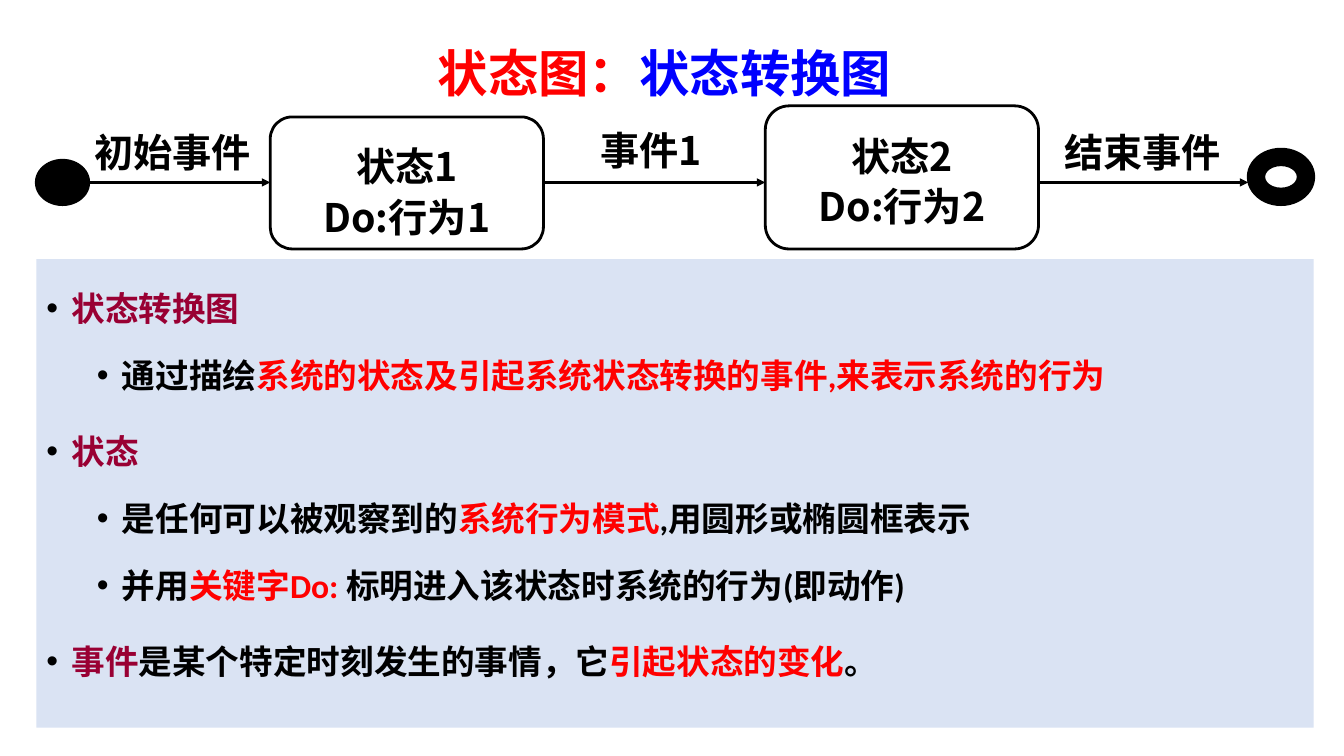
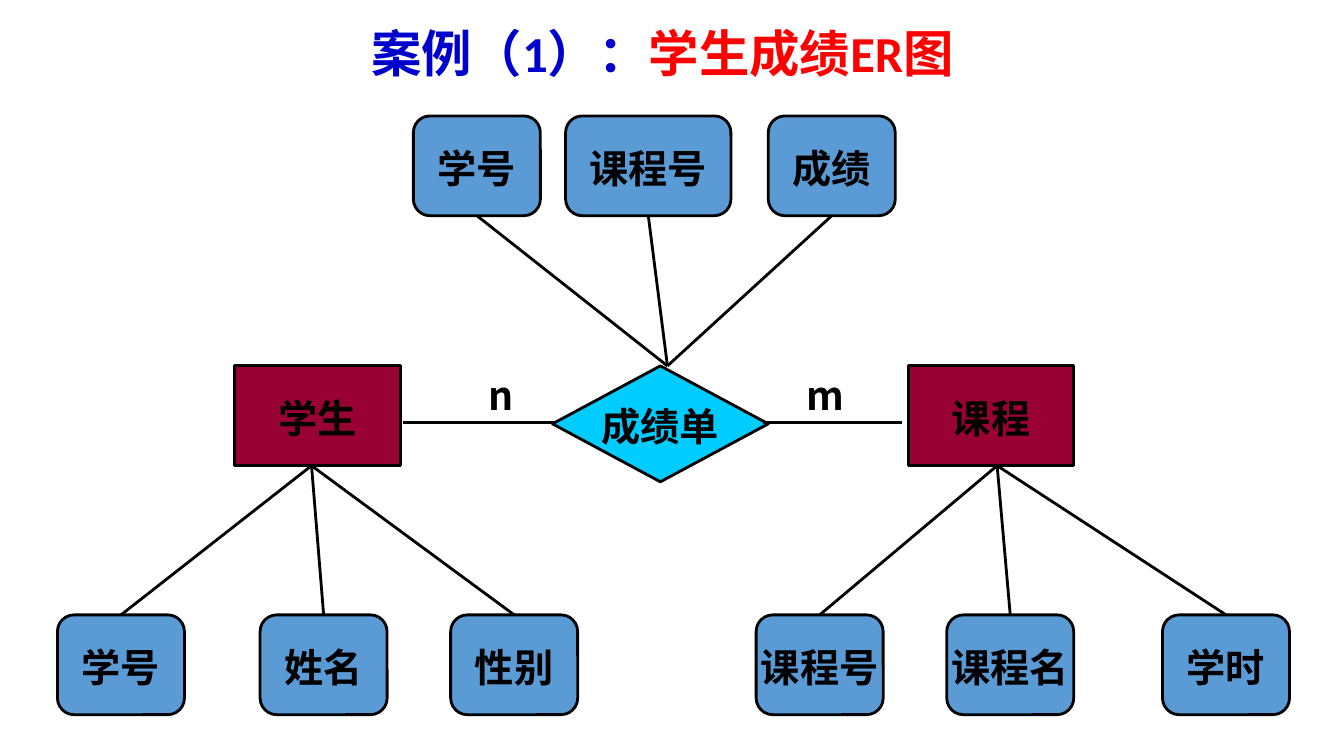
from lxml.etree import SubElement
from pptx import Presentation
from pptx.dml.color import RGBColor
from pptx.enum.shapes import MSO_CONNECTOR, MSO_SHAPE
from pptx.enum.text import MSO_ANCHOR, MSO_AUTO_SIZE, PP_ALIGN
from pptx.oxml.ns import qn
from pptx.util import Inches, Pt

# Shared look
BLACK = RGBColor(0x00, 0x00, 0x00)
WHITE = RGBColor(0xFF, 0xFF, 0xFF)
RED = RGBColor(0xFF, 0x00, 0x00)
BLUE = RGBColor(0x00, 0x00, 0xFF)
NAVY = RGBColor(0x00, 0x00, 0xCC)
MAROON = RGBColor(0x99, 0x00, 0x33)
CYAN = RGBColor(0x00, 0xCC, 0xFF)
STEEL = RGBColor(0x5B, 0x9B, 0xD5)
PANEL = RGBColor(0xDA, 0xE3, 0xF3)
HAN, LATIN = "Noto Sans CJK SC", "Calibri"
LINE = Pt(2)
TITLE_ONLY, TITLE_AND_BODY = 5, 1

# Slide 1: state diagram, places in inches
STATE_TITLE = [("状态图：", RED), ("状态转换图", BLUE)]
STATE_TITLE_BOX = (2.34, 0.28, 8.5, 0.95)
STATES = [
    (["状态1", "Do:行为1"], (2.68, 1.16, 2.71, 1.31)),
    (["状态2", "Do:行为2"], (7.59, 1.05, 2.71, 1.42)),
]
START_BOX = (0.36, 1.59, 0.52, 0.44)
END_BOX = (12.38, 1.48, 0.65, 0.55)
FLOW_Y = 1.81
EVENTS = [
    ("初始事件", (0.74, 1.19, 1.94, 0.57)),
    ("事件1", (5.68, 1.17, 1.55, 0.57)),
    ("结束事件", (10.36, 1.19, 1.94, 0.57)),
]
NOTES_BOX = (0.36, 2.57, 12.67, 4.65)
NOTES = [  # level, coloured runs
    (0, [("状态转换图", MAROON)]),
    (1, [("通过描绘", BLACK),
         ("系统的状态及引起系统状态转换的事件,来表示系统的行为", RED)]),
    (0, [("状态", MAROON)]),
    (1, [("是任何可以被观察到的", BLACK), ("系统行为模式", RED),
         (",用圆形或椭圆框表示", BLACK)]),
    (1, [("并用", BLACK), ("关键字Do: ", RED),
         ("标明进入该状态时系统的行为(即动作)", BLACK)]),
    (0, [("事件", MAROON), ("是某个特定时刻发生的事情，它", BLACK),
         ("引起状态的变化", RED), ("。", BLACK)]),
]

# Slide 2: entity-relationship diagram
ER_TITLE = [("案例（1）：", NAVY), ("学生成绩ER图", RED)]
ER_TITLE_BOX = (2.1, 0.09, 8.94, 0.85)
ENTITIES = [("学生", 2.33), ("课程", 9.01)]  # text, left
ENTITY_TOP, ENTITY_WIDTH = 3.63, 1.64
RELATION, RELATION_BOX = "成绩单", (5.48, 3.63, 2.14, 1.15)
NODE_HEIGHT, ATTRIBUTE_WIDTH = 0.99, 1.26
ATTRIBUTE_GROUPS = [  # hub point, top of row, attributes (text, left, width)
    ((6.62, 3.63), 1.15, [("学号", 4.1, ATTRIBUTE_WIDTH),
                          ("课程号", 5.61, 1.64),
                          ("成绩", 7.62, ATTRIBUTE_WIDTH)]),
    ((3.09, 4.62), 6.1, [("学号", 0.57, ATTRIBUTE_WIDTH),
                         ("姓名", 2.58, ATTRIBUTE_WIDTH),
                         ("性别", 4.47, ATTRIBUTE_WIDTH)]),
    ((9.89, 4.62), 6.1, [("课程号", 7.5, ATTRIBUTE_WIDTH),
                         ("课程名", 9.39, ATTRIBUTE_WIDTH),
                         ("学时", 11.53, ATTRIBUTE_WIDTH)]),
]
LINK_Y = 4.19
LINKS = [("n", 4.59, 4.0, 5.51), ("m", 7.81, 7.57, 8.95)]  # label, left, ends


def place(shape, box):
    shape.left, shape.top, shape.width, shape.height = map(Inches, box)


def style(paragraph, size, latin=HAN, color=BLACK):
    font = paragraph.font
    font.size, font.bold, font.name = Pt(size), True, latin
    font.color.rgb = color
    defaults = paragraph._p.pPr.find(qn("a:defRPr"))
    SubElement(defaults, qn("a:ea"), typeface=HAN)


def add_runs(paragraph, runs):
    for text, color in runs:
        run = paragraph.add_run()
        run.text = text
        run.font.color.rgb = color


def set_title(slide, runs, box, spacing, latin):
    title = slide.shapes.title
    place(title, box)
    frame = title.text_frame
    frame.auto_size = MSO_AUTO_SIZE.NONE
    frame.vertical_anchor = MSO_ANCHOR.MIDDLE
    paragraph = frame.paragraphs[0]
    paragraph.alignment = PP_ALIGN.CENTER
    paragraph.line_spacing = spacing
    style(paragraph, 36, latin)
    add_runs(paragraph, runs)


def write_label(frame, lines):
    for i, line in enumerate(lines):
        paragraph = frame.add_paragraph() if i else frame.paragraphs[0]
        paragraph.text = line
        paragraph.alignment = PP_ALIGN.CENTER
        paragraph.line_spacing = Pt(36)
        style(paragraph, 28)


def add_label(slide, text, box):
    frame = slide.shapes.add_textbox(*map(Inches, box)).text_frame
    frame.word_wrap = True
    write_label(frame, [text])


def add_node(slide, kind, box, fill, lines=()):
    node = slide.shapes.add_shape(kind, *map(Inches, box))
    node.shadow.inherit = False
    node.fill.solid()
    node.fill.fore_color.rgb = fill
    node.line.color.rgb = BLACK
    node.line.width = LINE
    node.text_frame.word_wrap = False
    node.text_frame.vertical_anchor = MSO_ANCHOR.MIDDLE
    write_label(node.text_frame, lines)
    return node


def add_line(slide, start, end, arrow=False):
    line = slide.shapes.add_connector(
        MSO_CONNECTOR.STRAIGHT, *map(Inches, (*start, *end)))
    line.line.color.rgb = BLACK
    line.line.width = LINE
    if arrow:
        SubElement(line.line._get_or_add_ln(), qn("a:tailEnd"), type="triangle")
    SubElement(line._element.spPr, qn("a:effectLst"))


def add_bullet(paragraph, level):
    paragraph.level = level
    props = paragraph._p.get_or_add_pPr()
    props.set("marL", str(Inches(0.25 + 0.5 * level)))
    props.set("indent", str(Inches(-0.25)))
    color = SubElement(props, qn("a:buClr"))
    SubElement(color, qn("a:srgbClr"), val=str(BLACK))
    SubElement(props, qn("a:buFont"), typeface="Arial")
    SubElement(props, qn("a:buChar"), char="•")


def build_state_slide(prs):
    slide = prs.slides.add_slide(prs.slide_layouts[TITLE_AND_BODY])
    set_title(slide, STATE_TITLE, STATE_TITLE_BOX, 0.9, HAN)

    # Explanation panel
    panel = slide.placeholders[1]
    place(panel, NOTES_BOX)
    panel.fill.solid()
    panel.fill.fore_color.rgb = PANEL
    frame = panel.text_frame
    frame.auto_size = MSO_AUTO_SIZE.NONE
    frame.margin_top = Inches(0.1)
    for i, (level, runs) in enumerate(NOTES):
        paragraph = frame.add_paragraph() if i else frame.paragraphs[0]
        add_bullet(paragraph, level)
        paragraph.line_spacing = Pt(42)
        paragraph.space_before = Pt((6 if level else 12) if i else 0)
        style(paragraph, 24, LATIN)
        add_runs(paragraph, runs)

    # Start, states and end
    add_node(slide, MSO_SHAPE.OVAL, START_BOX, BLACK)
    for lines, box in STATES:
        state = add_node(slide, MSO_SHAPE.FLOWCHART_ALTERNATE_PROCESS,
                         box, WHITE, lines)
        state.text_frame.vertical_anchor = MSO_ANCHOR.TOP
        state.text_frame.margin_top = Inches(0.16)
    end = add_node(slide, MSO_SHAPE.DONUT, END_BOX, BLACK)
    end.adjustments[0] = 0.28

    # Events between neighbours
    stops = [START_BOX, *(box for _, box in STATES), END_BOX]
    for source, target in zip(stops, stops[1:]):
        add_line(slide, (source[0] + source[2], FLOW_Y),
                 (target[0], FLOW_Y), arrow=True)
    for text, box in EVENTS:
        add_label(slide, text, box)


def build_er_slide(prs):
    slide = prs.slides.add_slide(prs.slide_layouts[TITLE_ONLY])
    set_title(slide, ER_TITLE, ER_TITLE_BOX, 1.0, LATIN)

    # Entities and their relation
    for text, left in ENTITIES:
        add_node(slide, MSO_SHAPE.RECTANGLE,
                 (left, ENTITY_TOP, ENTITY_WIDTH, NODE_HEIGHT), MAROON, [text])
    add_node(slide, MSO_SHAPE.DIAMOND, RELATION_BOX, CYAN, [RELATION])
    for text, left, start, end in LINKS:
        add_line(slide, (start, LINK_Y), (end, LINK_Y))
        add_label(slide, text, (left, 3.6, 0.76, 0.57))

    # Attributes, each joined to its hub
    for hub, top, attributes in ATTRIBUTE_GROUPS:
        edge = top + NODE_HEIGHT if top < hub[1] else top
        for text, left, width in attributes:
            add_node(slide, MSO_SHAPE.ROUNDED_RECTANGLE,
                     (left, top, width, NODE_HEIGHT), STEEL, [text])
            add_line(slide, (left + width / 2, edge), hub)


def main():
    prs = Presentation()
    prs.slide_width, prs.slide_height = Inches(13.33), Inches(7.5)
    build_state_slide(prs)
    build_er_slide(prs)
    prs.save("out.pptx")


if __name__ == "__main__":
    main()
